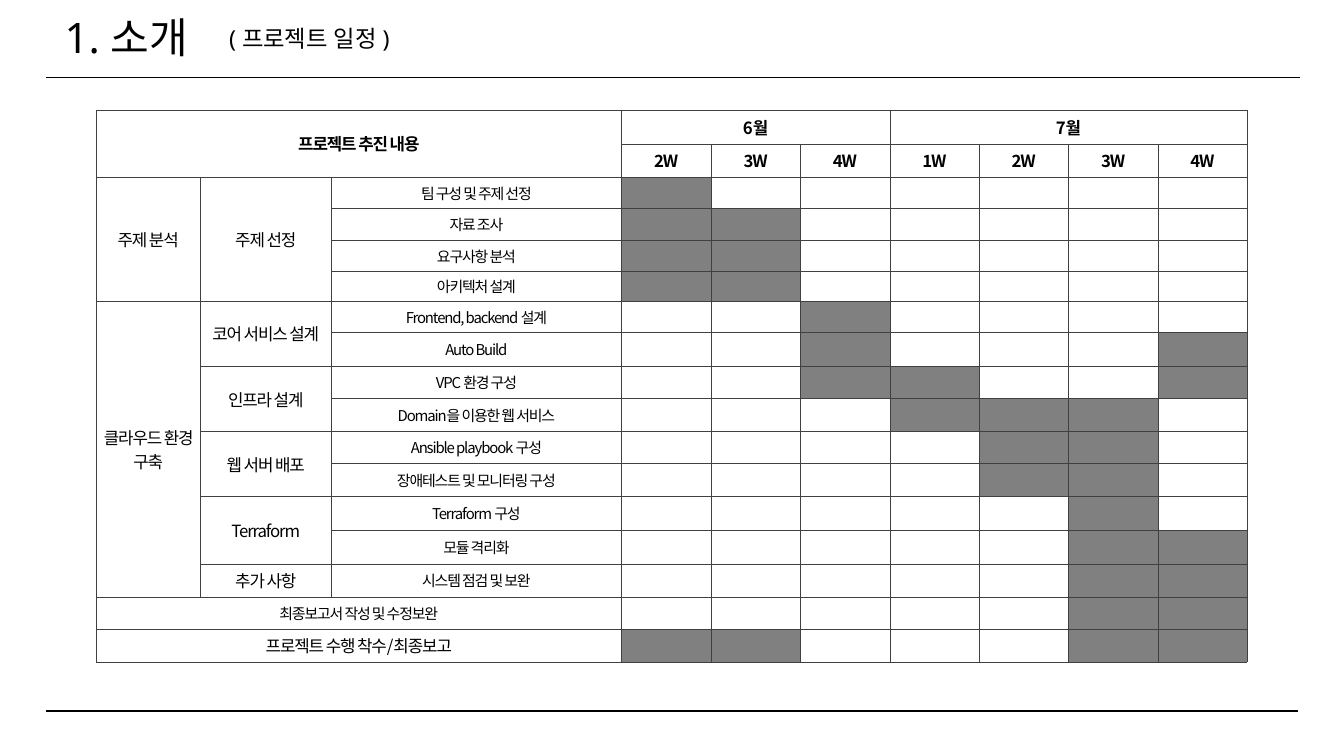
"""Build the project schedule slide."""
import pptx
import pptx.dml.color
import pptx.enum.shapes
import pptx.enum.text
import pptx.oxml.ns
import pptx.util
from lxml import etree
from pptx.util import Inches

COLOURS = {"ink": "000000", "paper": "FFFFFF", "busy": "808080", "grid": "404040"}
ALIGN = pptx.enum.text.PP_ALIGN
ANCHOR = pptx.enum.text.MSO_ANCHOR

COLUMNS = [1.55, 1.95, 4.32] + [1.33] * 7
ROWS = [0.5, 0.49, 0.47, 0.47, 0.47, 0.44, 0.47, 0.5, 0.47,
        0.5, 0.47, 0.5, 0.5, 0.5, 0.5, 0.47, 0.49]
MONTHS = {3: ("6월", 3), 6: ("7월", 4)}
WEEKS = ["2W", "3W", "4W", "1W", "2W", "3W", "4W"]
PHASES = [("주제 분석", 4), ("클라우드 환경 구축", 9)]
GROUPS = [("주제 선정", 4), ("코어 서비스 설계", 2), ("인프라 설계", 2),
          ("웹 서버 배포", 2), ("Terraform", 2), ("추가 사항", 1)]
TASKS = [
    ("팀 구성 및 주제 선정", "#......"),
    ("자료 조사", "##....."),
    ("요구사항 분석", "##....."),
    ("아키텍처 설계", "##....."),
    ("Frontend, backend 설계", "..#...."),
    ("Auto Build", "..#...#"),
    ("VPC 환경 구성", "..##..#"),
    ("Domain을 이용한 웹 서비스", "...###."),
    ("Ansible playbook 구성", "....##."),
    ("장애테스트 및 모니터링 구성", "....##."),
    ("Terraform 구성", ".....#."),
    ("모듈 격리화", ".....##"),
    ("시스템 점검 및 보완", ".....##"),
]
CLOSING = [("최종보고서 작성 및 수정보완", ".....##", 16),
           ("프로젝트 수행 착수/최종보고", "##...##", 18)]


def colour(name):
    """Return the named colour."""
    return pptx.dml.color.RGBColor.from_string(COLOURS[name])


def write(frame, text, size, font, bold=False, align=ALIGN.CENTER, leading=None, tracking=None):
    """Fill a text frame with one formatted paragraph."""
    para = frame.paragraphs[0]
    para.alignment = align
    para.line_spacing = leading
    para.space_before = pptx.util.Pt(0)
    span = para.add_run()
    span.text = text
    span.font.size = pptx.util.Pt(size)
    span.font.name = font
    span.font.bold = bold
    span.font.color.rgb = colour("ink")
    properties = span.font._element
    etree.SubElement(properties, pptx.oxml.ns.qn("a:ea"), typeface=font)
    if tracking is not None:
        properties.set("spc", str(round(tracking * 100)))


class SlideBuilder:
    """Hold the style and the current slide."""

    heading_font = "Noto Sans"
    table_font = "Noto Sans CJK KR"

    def __init__(self, slide):
        """Keep the slide to draw on."""
        self.slide = slide

    def heading(self, box, text, size, left, top, width, height):
        """Place a heading with exact line spacing in a box."""
        box.left, box.top = Inches(left), Inches(top)
        box.width, box.height = Inches(width), Inches(height)
        frame = box.text_frame
        frame.word_wrap = True
        frame.auto_size = pptx.enum.text.MSO_AUTO_SIZE.NONE
        frame.vertical_anchor = ANCHOR.TOP
        frame.margin_left = frame.margin_right = frame.margin_top = frame.margin_bottom = 0
        write(frame, text, size, self.heading_font, align=ALIGN.JUSTIFY,
              leading=pptx.util.Pt(size))

    def title(self, text, size, *place):
        """Write the slide title in its placeholder."""
        self.heading(self.slide.shapes.title, text, size, *place)

    def subtitle(self, text, size, *place):
        """Write a heading in a new text box."""
        self.heading(self.slide.shapes.add_textbox(0, 0, 0, 0), text, size, *place)

    def rule(self, left, right, top):
        """Draw a horizontal rule."""
        line = self.slide.shapes.add_connector(
            pptx.enum.shapes.MSO_CONNECTOR.STRAIGHT,
            Inches(left), Inches(top), Inches(right), Inches(top))
        line.line.color.rgb = colour("ink")
        line.line.width = pptx.util.Pt(1.5)
        etree.SubElement(line._element.spPr, pptx.oxml.ns.qn("a:effectLst"))

    def grid(self, left, top, columns, rows):
        """Add an unfilled table with thin borders."""
        table = self.slide.shapes.add_table(
            len(rows), len(columns), Inches(left), Inches(top),
            Inches(sum(columns)), Inches(sum(rows))).table
        table.first_row = table.horz_banding = False
        for column, width in zip(table.columns, columns):
            column.width = Inches(width)
        for row, height in zip(table.rows, rows):
            row.height = Inches(height)
        for cell in table.iter_cells():
            cell.margin_left = cell.margin_right = cell.margin_top = cell.margin_bottom = 0
            cell.vertical_anchor = ANCHOR.MIDDLE
            self.border(cell)
            cell.fill.background()
        return table

    def border(self, cell):
        """Outline all four sides of a cell."""
        properties = cell._tc.get_or_add_tcPr()
        for side in ("lnL", "lnR", "lnT", "lnB"):
            line = etree.SubElement(properties, pptx.oxml.ns.qn("a:" + side),
                                    w=str(pptx.util.Pt(0.25)))
            fill = etree.SubElement(line, pptx.oxml.ns.qn("a:solidFill"))
            etree.SubElement(fill, pptx.oxml.ns.qn("a:srgbClr"), val=COLOURS["grid"])

    def label(self, table, row, column, text, down=1, across=1, size=18, header=False):
        """Write a table label, merging the cells it covers."""
        cell = table.cell(row, column)
        if down * across > 1:
            cell.merge(table.cell(row + down - 1, column + across - 1))
        if header:
            self.shade(cell, "paper")
        write(cell.text_frame, text, size, self.table_font, bold=header, tracking=-1.2)

    def shade(self, cell, name):
        """Fill a cell with a named colour."""
        cell.fill.solid()
        cell.fill.fore_color.rgb = colour(name)

    def timeline(self, table, row, weeks):
        """Shade the weeks in which a task runs."""
        for column, mark in enumerate(weeks, 3):
            if mark == "#":
                self.shade(table.cell(row, column), "busy")

    def schedule(self, left, top):
        """Build the schedule table."""
        table = self.grid(left, top, COLUMNS, ROWS)
        self.label(table, 0, 0, "프로젝트 추진 내용", down=2, across=3, header=True)
        for column, (month, across) in MONTHS.items():
            self.label(table, 0, column, month, across=across, header=True)
        for column, week in enumerate(WEEKS, 3):
            self.label(table, 1, column, week, header=True)
        for column, blocks in enumerate((PHASES, GROUPS)):
            row = 2
            for text, down in blocks:
                self.label(table, row, column, text, down=down)
                row += down
        for row, (task, weeks) in enumerate(TASKS, 2):
            self.label(table, row, 2, task, size=16)
            self.timeline(table, row, weeks)
        for row, (task, weeks, size) in enumerate(CLOSING, 2 + len(TASKS)):
            self.label(table, row, 0, task, across=3, size=size)
            self.timeline(table, row, weeks)


def main():
    """Assemble and save the deck."""
    deck = pptx.Presentation()
    deck.slide_width, deck.slide_height = Inches(20), Inches(11.25)
    page = SlideBuilder(deck.slides.add_slide(deck.slide_layouts[5]))
    page.rule(0.69, 19.34, 1.15)
    page.rule(0.68, 19.32, 10.58)
    page.title("1. 소개", 45, 0.96, 0.3, 4.25, 0.63)
    page.subtitle("( 프로젝트 일정 )", 25, 3.41, 0.43, 6.34, 0.35)
    page.schedule(1.43, 1.64)
    deck.save("out.pptx")


if __name__ == "__main__":
    main()
